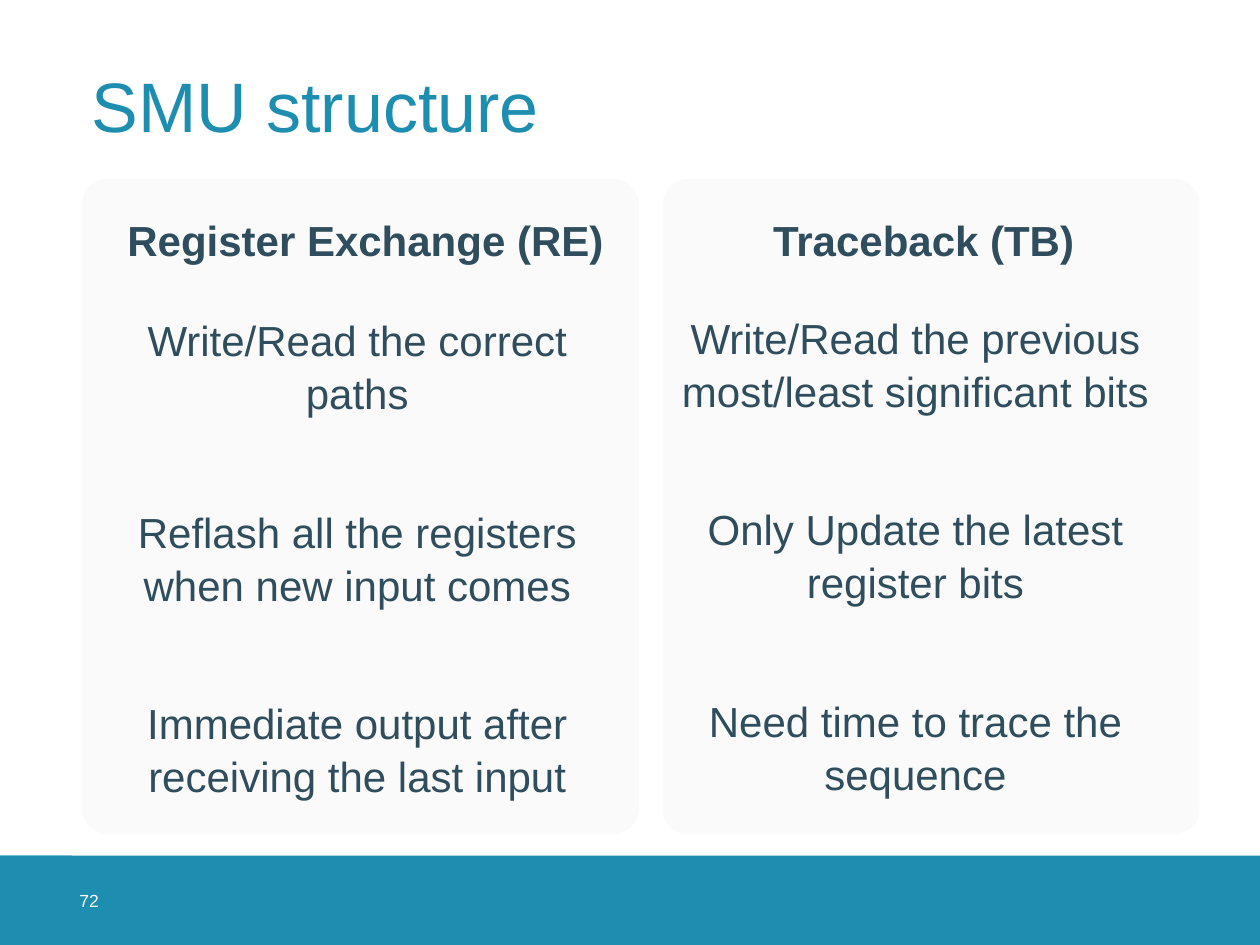
from dataclasses import dataclass

from pptx import Presentation
from pptx.dml.color import RGBColor
from pptx.enum.shapes import MSO_SHAPE
from pptx.enum.text import MSO_ANCHOR, PP_ALIGN
from pptx.util import Inches, Pt

RECT, ROUNDED = MSO_SHAPE.RECTANGLE, MSO_SHAPE.ROUNDED_RECTANGLE
TOP, MIDDLE, BOTTOM = MSO_ANCHOR.TOP, MSO_ANCHOR.MIDDLE, MSO_ANCHOR.BOTTOM
LEFT, CENTER = PP_ALIGN.LEFT, PP_ALIGN.CENTER


@dataclass(frozen=True)
class Theme:
    font: str = "Arial"
    accent: RGBColor = RGBColor(0x1D, 0x8D, 0xB0)
    panel: RGBColor = RGBColor(0xFA, 0xFA, 0xFA)
    ink: RGBColor = RGBColor(0x2F, 0x4D, 0x5D)
    white: RGBColor = RGBColor(0xFF, 0xFF, 0xFF)
    title_size: int = 40
    body_size: int = 24
    number_size: int = 10


THEME = Theme()

# Panel left and width, text left, body top, heading, points
COLUMNS = [
    (0.65, 4.42, 0.63, 2.43, "Register Exchange (RE)", [
        "Write/Read the correct paths",
        "Reflash all the registers when new input comes",
        "Immediate output after receiving the last input",
    ]),
    (5.26, 4.26, 5.06, 2.41, "Traceback (TB)", [
        "Write/Read the previous most/least significant bits",
        "Only Update the latest register bits",
        "Need time to trace the sequence",
    ]),
]


def add_block(s, kind, box, color):
    sp = s.shapes.add_shape(kind, *map(Inches, box))
    sp.shadow.inherit = False
    sp.fill.solid()
    sp.fill.fore_color.rgb = color
    sp.line.fill.background()
    return sp


def add_text(s, box, lines, size, color, bold=False, anchor=TOP, align=LEFT,
             spacing=1.0, gap=0, margin=0.0, indent=0.0, inset=(0.1, 0.05)):
    tf = s.shapes.add_textbox(*map(Inches, box)).text_frame
    tf.word_wrap = True
    tf.vertical_anchor = anchor
    tf.margin_left = tf.margin_right = Inches(inset[0])
    tf.margin_top = tf.margin_bottom = Inches(inset[1])
    for i, line in enumerate(lines):
        p = tf.add_paragraph() if i else tf.paragraphs[0]
        p.alignment = align
        p.line_spacing = spacing
        p.space_before = Pt(gap if i else 0)
        pPr = p._p.get_or_add_pPr()
        pPr.set("marL", str(Inches(margin)))
        pPr.set("indent", str(Inches(indent)))
        r = p.add_run()
        r.text = line
        r.font.name = THEME.font
        r.font.size = Pt(size)
        r.font.bold = bold
        r.font.color.rgb = color


def add_column(s, panel_left, panel_width, left, body_top, heading, points):
    panel = add_block(s, ROUNDED, (panel_left, 1.42, panel_width, 5.2), THEME.panel)
    panel.adjustments[0] = 0.047
    add_text(s, (left, 1.53, 4.29, 0.63), [heading], THEME.body_size, THEME.ink,
             bold=True, anchor=BOTTOM, align=CENTER, spacing=0.9,
             margin=0.5, indent=-0.25)
    add_text(s, (left, body_top, 4.29, 4.02), points, THEME.body_size, THEME.ink,
             align=CENTER, spacing=1.05, gap=49, margin=0.12)


def main():
    prs = Presentation()
    prs.slide_width, prs.slide_height = Inches(10), Inches(7.5)
    s = prs.slides.add_slide(prs.slide_layouts[6])

    # Footer band with its left tab and the slide number
    for width in (10, 0.57):
        add_block(s, RECT, (0, 6.79, width, 0.71), THEME.accent)
    add_text(s, (0.63, 6.79, 0.71, 0.71), ["72"], THEME.number_size, THEME.white,
             anchor=MIDDLE, inset=(0, 0))

    # Title
    add_text(s, (0.63, 0.24, 8.74, 1.26), ["SMU structure"], THEME.title_size,
             THEME.accent, anchor=MIDDLE, spacing=0.9)

    # Comparison columns
    for column in COLUMNS:
        add_column(s, *column)

    prs.save("out.pptx")


if __name__ == "__main__":
    main()
